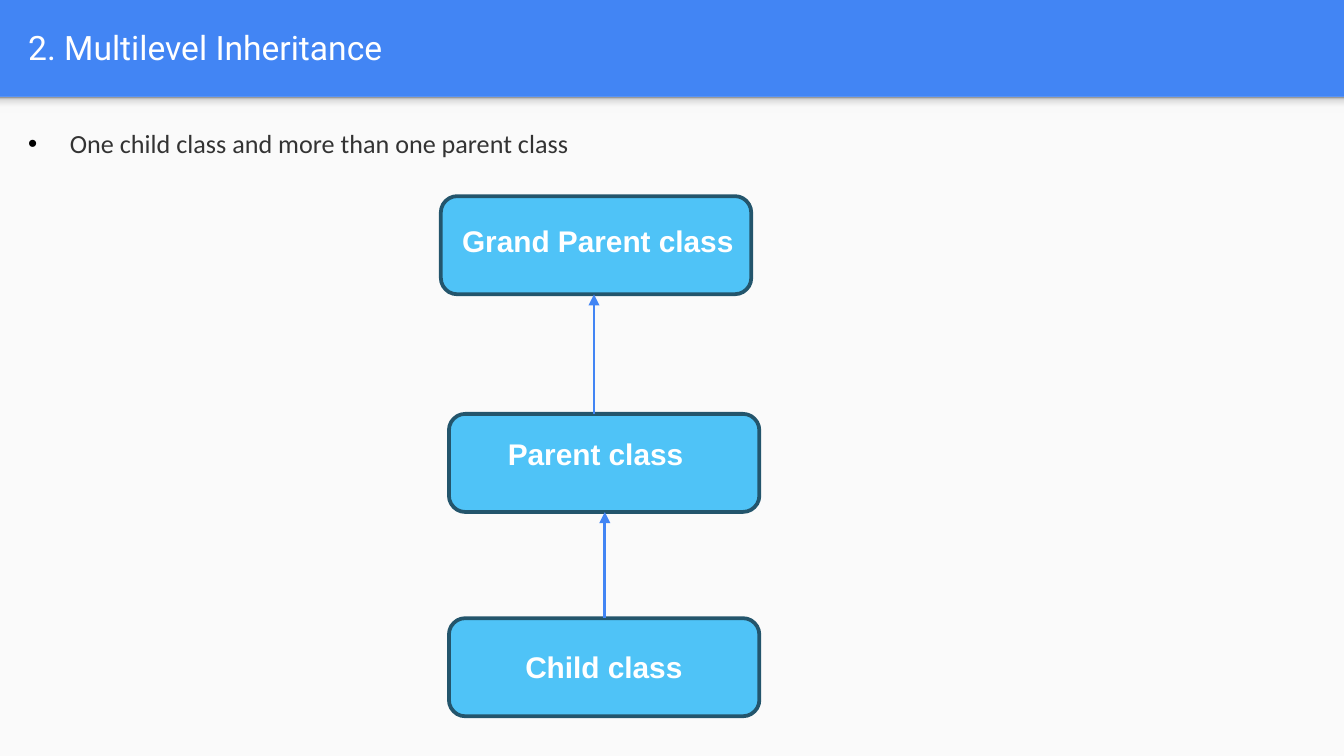
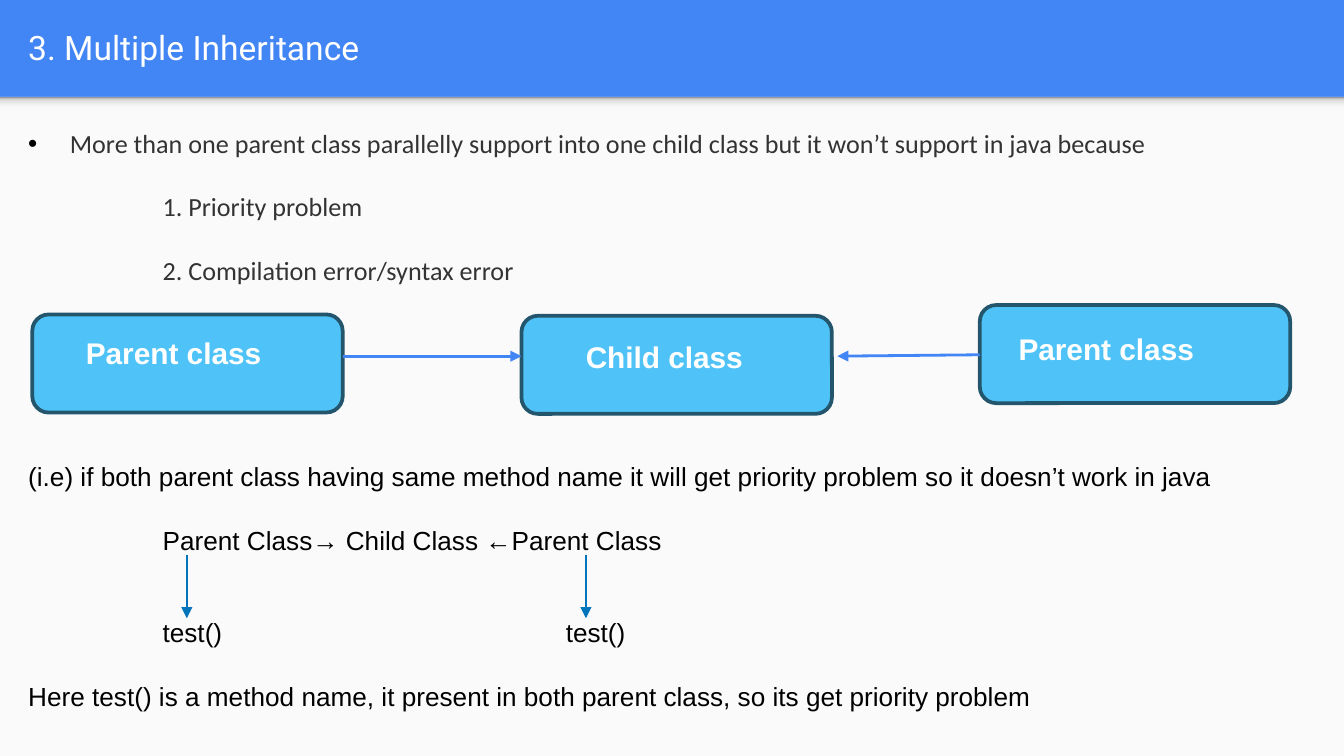
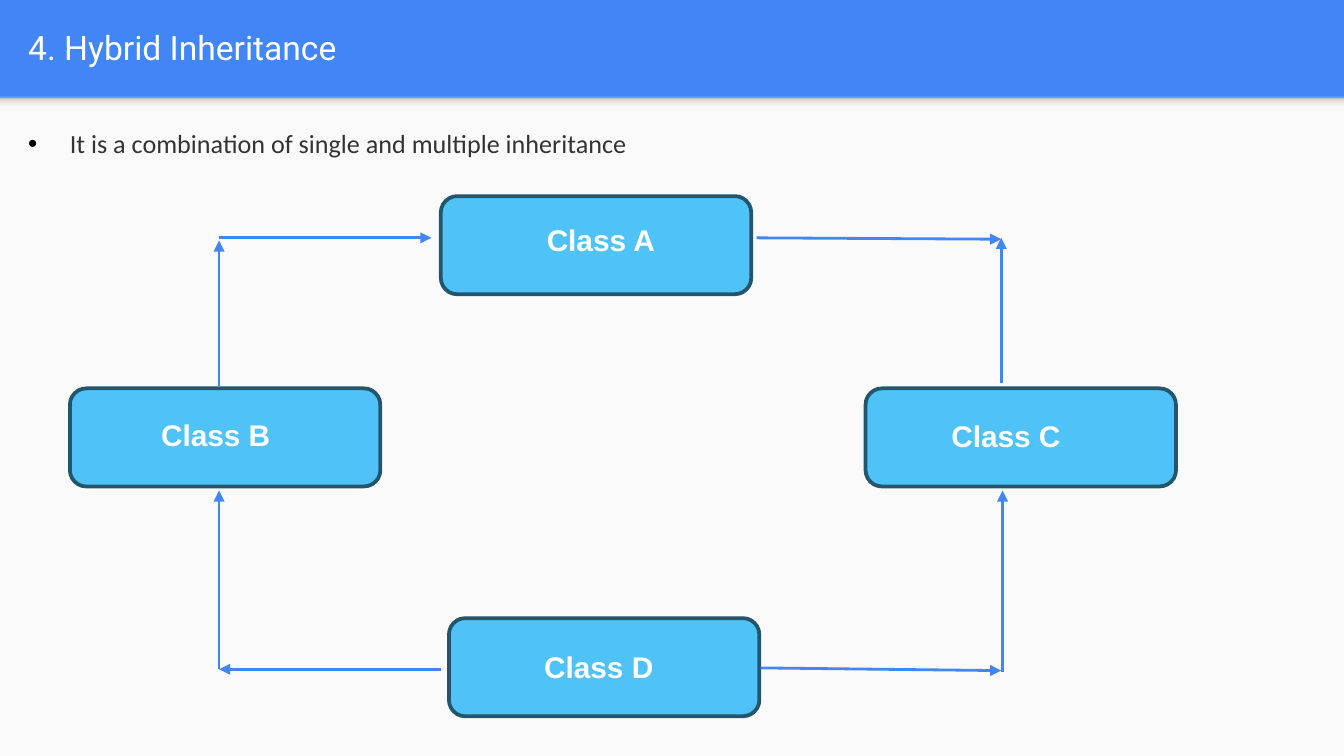
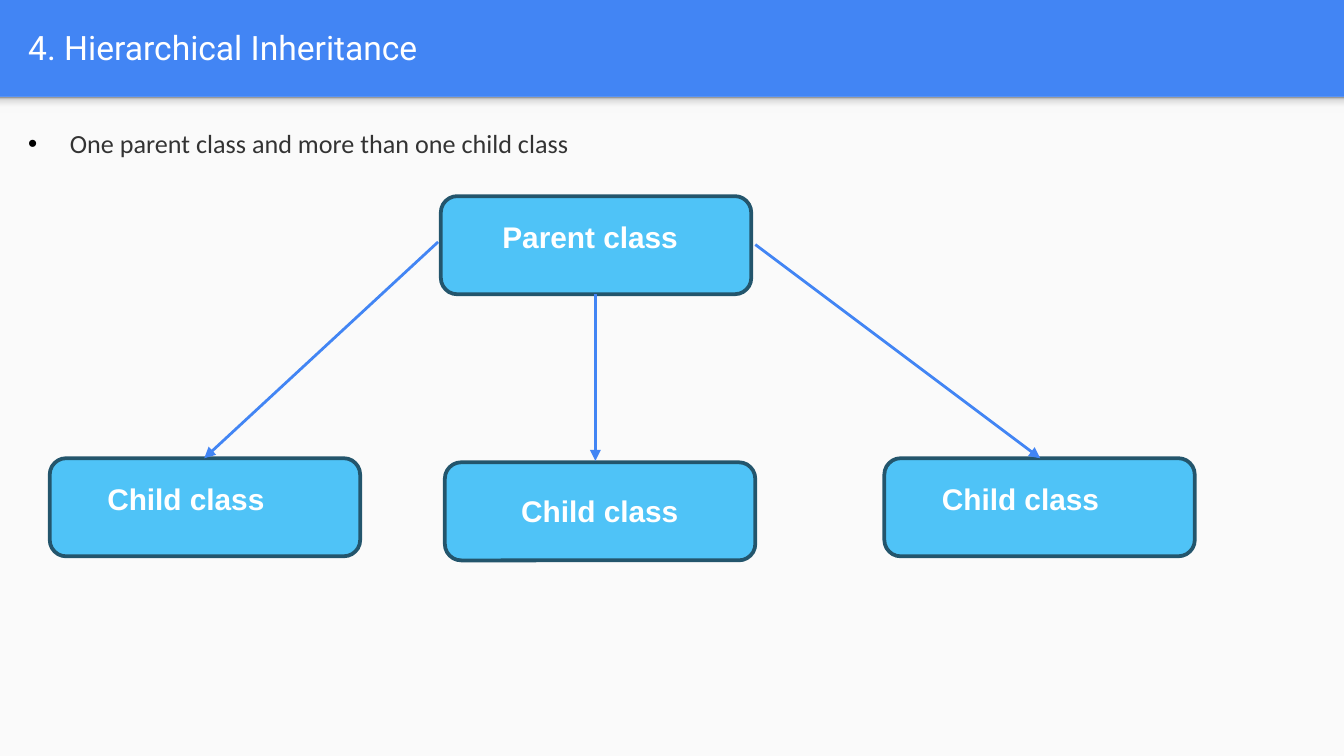
from dataclasses import dataclass

from lxml.etree import SubElement
from pptx import Presentation
from pptx.dml.color import RGBColor
from pptx.enum.shapes import MSO_CONNECTOR, MSO_SHAPE
from pptx.enum.text import MSO_ANCHOR, MSO_AUTO_SIZE, PP_ALIGN
from pptx.oxml.ns import qn
from pptx.util import Inches, Pt


@dataclass(frozen=True)
class Theme:
    # Colours
    blue: str = "4285F4"
    panel: str = "FAFAFA"
    box_fill: str = "4FC3F7"
    box_line: str = "23556C"
    pointer: str = "0075BB"
    white: str = "FFFFFF"
    black: str = "000000"
    grey: str = "333333"
    shade: tuple = ((0, "F9F9F9"), (36, "F9F9F9"), (80, "DEDEDE"), (100, "999999"))
    # Fonts and sizes
    title_font: str = "Roboto"
    list_font: str = "Calibri"
    text_font: str = "Arial"
    title_size: int = 18
    body_size: int = 14
    label_size: int = 16


@dataclass(frozen=True)
class Line:
    """One paragraph of the body; indent in inches, gap in points."""
    text: str
    gap: int = 0
    indent: float = 0
    bullet: bool = False
    listed: bool = True


WIDTH = 10
HEIGHT = WIDTH * 9 / 16
BAND_HEIGHT = 0.72
BOX_WIDTH, BOX_HEIGHT = 2.31, 0.73


def rgb(value):
    return RGBColor.from_string(value)


def frame(left, top, width, height):
    return [Inches(length) for length in (left, top, width, height)]


class Deck:
    def __init__(self, theme):
        self.theme = theme
        self.file = Presentation()
        self.file.slide_width, self.file.slide_height = Inches(WIDTH), Inches(HEIGHT)
        self.layout = self.file.slide_layouts[1]
        self.page = None
        background = self.file.slide_master.background.fill
        background.solid()
        background.fore_color.rgb = rgb(theme.blue)

    def style(self, font, name, size, color, bold=False):
        font.name, font.size, font.bold = name, Pt(size), bold
        font.color.rgb = rgb(color)

    def shape(self, kind, *place):
        box = self.page.shapes.add_shape(kind, *frame(*place))
        box.shadow.inherit = False
        return box

    def backdrop(self):
        """Draw the light panel and its shade, and move them to the layout."""
        panel = self.shape(MSO_SHAPE.RECTANGLE, 0, BAND_HEIGHT, WIDTH, HEIGHT - BAND_HEIGHT)
        panel.fill.solid()
        panel.fill.fore_color.rgb = rgb(self.theme.panel)

        shade = self.shape(MSO_SHAPE.RECTANGLE, 0, BAND_HEIGHT, WIDTH, 0.12)
        shade.fill.gradient()
        shade.fill.gradient_angle = 90
        stops = shade.element.spPr.find(qn("a:gradFill")).find(qn("a:gsLst"))
        for stop in list(stops):
            stops.remove(stop)
        for position, color in self.theme.shade:
            stop = SubElement(stops, qn("a:gs"), pos=str(position * 1000))
            SubElement(stop, qn("a:srgbClr"), val=color)

        for index, box in enumerate((panel, shade), start=2):
            box.line.fill.background()
            self.layout.shapes.element.insert(index, box.element)

    def new_page(self, title, lines, body_height=1.41):
        first = self.page is None
        self.page = self.file.slides.add_slide(self.layout)
        if first:
            self.backdrop()
        self.title(title)
        self.body(lines, body_height)

    def place_text(self, box, place, anchor, inset):
        box.left, box.top, box.width, box.height = frame(*place)
        text = box.text_frame
        text.word_wrap, text.auto_size = True, MSO_AUTO_SIZE.NONE
        text.vertical_anchor = anchor
        text.margin_left = text.margin_right = Inches(0.1)
        text.margin_top = text.margin_bottom = Inches(inset)
        return text

    def title(self, words):
        text = self.place_text(self.page.shapes.title, (0.11, 0.02, 9.65, 0.66),
                               MSO_ANCHOR.MIDDLE, 0.1)
        text.text = words
        para = text.paragraphs[0]
        para.alignment = PP_ALIGN.LEFT
        self.style(para.font, self.theme.title_font, self.theme.title_size, self.theme.white)

    def body(self, lines, height):
        theme = self.theme
        text = self.place_text(self.page.placeholders[1], (0.11, 0.9, 9.65, height),
                               MSO_ANCHOR.TOP, 0.05)
        for number, line in enumerate(lines):
            para = text.add_paragraph() if number else text.paragraphs[0]
            para.text = line.text
            self.paragraph_format(para, line)
            para.space_before = Pt(line.gap)
            if line.listed:
                self.style(para.font, theme.list_font, theme.body_size, theme.grey)
            else:
                self.style(para.font, theme.text_font, theme.body_size, theme.black)

    def paragraph_format(self, para, line):
        """Set the indent, tab distance and bullet of a body paragraph."""
        properties = para._p.get_or_add_pPr()
        hanging = 0.31 if line.bullet else 0
        properties.set("marL", str(Inches(line.indent + hanging)))
        properties.set("indent", str(-Inches(hanging)))
        properties.set("defTabSz", str(Inches(1)))
        if line.bullet:
            color = SubElement(properties, qn("a:buClr"))
            SubElement(color, qn("a:srgbClr"), val=self.theme.black)
            SubElement(properties, qn("a:buFont"), typeface=self.theme.text_font)
            SubElement(properties, qn("a:buChar"), char="•")
        else:
            SubElement(properties, qn("a:buNone"))

    def class_box(self, words, left, top, label_left, label_top, label_width=1.98):
        theme = self.theme
        box = self.shape(MSO_SHAPE.ROUNDED_RECTANGLE, left, top, BOX_WIDTH, BOX_HEIGHT)
        box.fill.solid()
        box.fill.fore_color.rgb = rgb(theme.box_fill)
        box.line.color.rgb = rgb(theme.box_line)
        box.line.width = Pt(2)

        place = (label_left, label_top, label_width, 0.37)
        label = self.page.shapes.add_textbox(*frame(*place))
        text = self.place_text(label, place, MSO_ANCHOR.TOP, 0.05)
        text.text = words
        self.style(text.paragraphs[0].font, theme.text_font, theme.label_size,
                   theme.white, bold=True)

    def arrow(self, start, end, color=None, width=1.5):
        line = self.page.shapes.add_connector(MSO_CONNECTOR.STRAIGHT,
                                              *frame(*start, *end))
        line.line.color.rgb = rgb(color or self.theme.blue)
        line.line.width = Pt(width)
        SubElement(line.line._get_or_add_ln(), qn("a:tailEnd"), type="triangle")
        SubElement(line.element.spPr, qn("a:effectLst"))


def multilevel(deck):
    deck.new_page("2. Multilevel Inheritance",
                  [Line("One child class and more than one parent class", bullet=True)])
    deck.class_box("Grand Parent class", 3.28, 1.46, 3.34, 1.61, 2.44)
    deck.class_box("Parent class", 3.34, 3.08, 3.68, 3.19)
    deck.class_box("Child class", 3.34, 4.6, 3.81, 4.78, 1.39)
    deck.arrow((4.5, 4.6), (4.5, 3.81))
    deck.arrow((4.42, 3.08), (4.42, 2.19))


def multiple(deck):
    deck.new_page("3. Multiple Inheritance", [
        Line("More than one parent class parallelly support into one child class "
             "but it won’t support in java because", bullet=True),
        Line("1. Priority problem", gap=17, indent=1),
        Line("2. Compilation error/syntax error", gap=17, indent=1),
        Line("(i.e) if both parent class having same method name it will get priority "
             "problem so it doesn’t work in java", gap=94, listed=False),
        Line("Parent Class→ Child Class ←Parent Class", gap=17, indent=1, listed=False),
        Line("\ttest()\t\t\ttest()", gap=33, listed=False),
        Line("Here test() is a method name, it present in both parent class, "
             "so its get priority problem", gap=17, listed=False),
    ], body_height=4.48)
    deck.class_box("Child class", 3.88, 2.35, 4.26, 2.47)
    deck.class_box("Parent class", 0.24, 2.34, 0.54, 2.44, 1.68)
    deck.class_box("Parent class", 7.29, 2.27, 7.48, 2.41, 2.38)
    deck.arrow((2.55, 2.65), (3.88, 2.65))
    deck.arrow((7.29, 2.64), (6.23, 2.65))
    # Pointers from each parent class to its method
    for x in (1.39, 4.36):
        deck.arrow((x, 4.13), (x, 4.6), deck.theme.pointer, 1)


def hybrid(deck):
    deck.new_page("4. Hybrid Inheritance",
                  [Line("It is a combination of single and multiple inheritance", bullet=True)])
    deck.class_box("Class A", 3.28, 1.46, 3.97, 1.6, 2.44)
    deck.class_box("Class B", 0.52, 2.89, 1.1, 3.05)
    deck.class_box("Class C", 6.44, 2.89, 6.98, 3.06)
    deck.class_box("Class D", 3.34, 4.6, 3.95, 4.78, 1.39)
    # Left side, from D through B to A
    deck.arrow((3.28, 4.98), (1.63, 4.98))
    deck.arrow((1.63, 4.98), (1.63, 3.65))
    deck.arrow((1.63, 2.87), (1.63, 1.79))
    deck.arrow((1.63, 1.77), (3.21, 1.77))
    # Right side
    deck.arrow((5.66, 4.97), (7.45, 4.99))
    deck.arrow((7.46, 5), (7.46, 3.65))
    deck.arrow((7.45, 2.85), (7.45, 1.77))
    deck.arrow((5.63, 1.77), (7.45, 1.78))


def hierarchical(deck):
    deck.new_page("4. Hierarchical Inheritance",
                  [Line("One parent class and more than one child class", bullet=True)])
    deck.class_box("Parent class", 3.28, 1.46, 3.64, 1.58, 2.44)
    deck.class_box("Child class", 0.37, 3.41, 0.7, 3.53)
    deck.class_box("Child class", 3.31, 3.44, 3.78, 3.62, 1.39)
    deck.class_box("Child class", 6.58, 3.41, 6.91, 3.53)
    deck.arrow((3.26, 1.8), (1.52, 3.41))
    deck.arrow((4.43, 2.19), (4.43, 3.43))
    deck.arrow((5.62, 1.82), (7.74, 3.41))


def main():
    deck = Deck(Theme())
    for build in (multilevel, multiple, hybrid, hierarchical):
        build(deck)
    deck.file.save("out.pptx")


if __name__ == "__main__":
    main()
